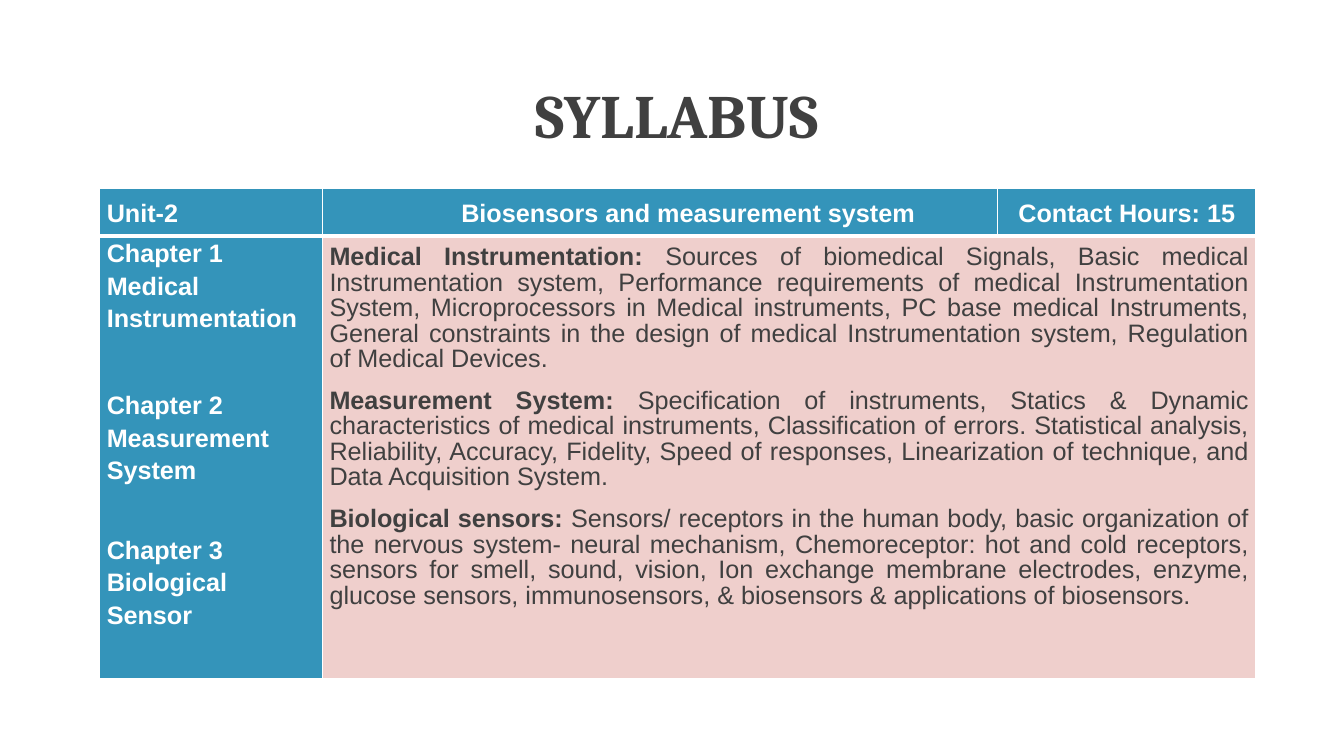
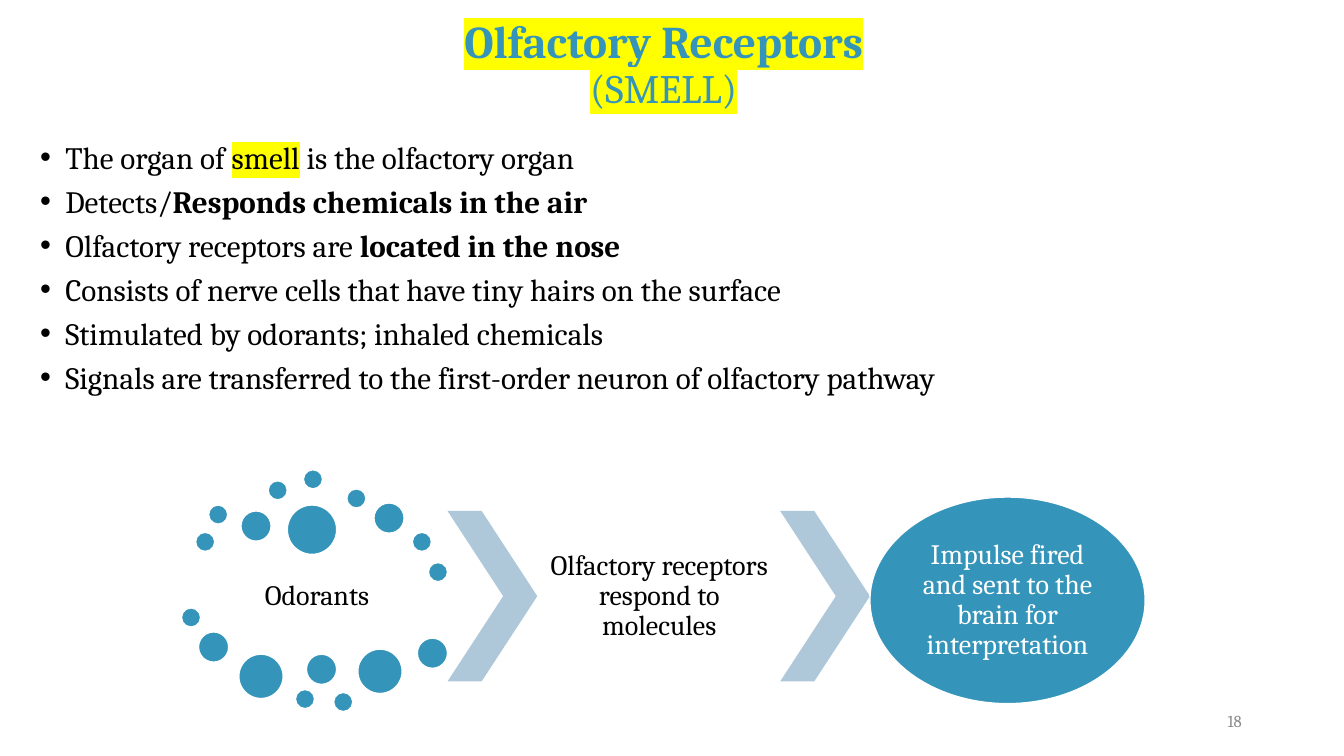
"""Build a syllabus slide and a slide on olfactory receptors."""
from dataclasses import dataclass
from typing import NamedTuple, Optional, Sequence

from lxml.etree import SubElement
from pptx import Presentation
from pptx.dml.color import RGBColor
from pptx.enum.shapes import MSO_SHAPE as Preset
from pptx.enum.text import MSO_ANCHOR as Anchor, MSO_AUTO_SIZE as AutoSize, PP_ALIGN as Align
from pptx.oxml.ns import qn
from pptx.util import Pt


@dataclass(frozen=True)
class Theme:
    teal: str = "3494BA"
    rose: str = "EFCFCC"
    pale: str = "AEC8D9"
    white: str = "FFFFFF"
    black: str = "000000"
    charcoal: str = "404040"
    grey: str = "8C8C8C"
    marker: str = "FFFF00"
    serif: str = "Cambria"
    sans: str = "Arial"
    title: float = 44
    topic: float = 32.4
    subtopic: float = 28.8
    bullet: float = 22.2
    diagram: float = 20
    table: float = 18
    number: float = 12


THEME = Theme()


class Box(NamedTuple):
    left: float
    top: float
    width: float
    height: float

    def points(self) -> tuple:
        return tuple(Pt(value) for value in self)


@dataclass(frozen=True)
class Span:
    text: str
    bold: bool = False
    marked: bool = False
    size: Optional[float] = None


@dataclass(frozen=True)
class Para:
    spans: tuple
    after: float = 0


@dataclass(frozen=True)
class Style:
    size: float
    color: str = THEME.black
    font: str = THEME.serif
    align: Align = Align.CENTER
    spacing: float = 0.9
    before: float = 0
    bullet: bool = False


class Dot(NamedTuple):
    left: float
    top: float
    size: float


SMALL, MEDIUM, LARGE, HUGE = 13.7, 21.6, 31.7, 35.3
DOTS = (
    Dot(139.7, 380.2, SMALL), Dot(149, 360.7, SMALL), Dot(172.1, 365, MEDIUM),
    Dot(191.5, 343.4, SMALL), Dot(216.7, 335.5, SMALL), Dot(247.7, 349.2, SMALL),
    Dot(267.1, 359.3, MEDIUM), Dot(294.5, 380.2, SMALL), Dot(306, 401.8, SMALL),
    Dot(205.2, 360.7, HUGE), Dot(129.6, 434.2, SMALL), Dot(141.8, 451.4, MEDIUM),
    Dot(170.6, 467.3, LARGE), Dot(211, 492.5, SMALL), Dot(218.9, 467.3, MEDIUM),
    Dot(238.3, 494.6, SMALL), Dot(255.6, 463.7, LARGE), Dot(298.1, 455.8, MEDIUM),
)

UNIT_HEADINGS = ("Unit-2", "Biosensors and measurement system", "Contact Hours: 15")
CHAPTERS = (
    Para((Span("Chapter 1", True),)),
    Para((Span("Medical Instrumentation", True),), 39),
    Para((Span("Chapter 2", True),)),
    Para((Span("Measurement System", True),), 34),
    Para((Span("Chapter 3", True),)),
    Para((Span("Biological Sensor", True),)),
)
TOPICS = (
    Para((Span("Medical Instrumentation: ", True), Span(
        "Sources of biomedical Signals, Basic medical Instrumentation system, Performance "
        "requirements of medical Instrumentation System, Microprocessors in Medical instruments, "
        "PC base medical Instruments, General constraints in the design of medical "
        "Instrumentation system, Regulation of Medical Devices.")), 12),
    Para((Span("Measurement System: ", True), Span(
        "Specification of instruments, Statics & Dynamic characteristics of medical instruments, "
        "Classification of errors. Statistical analysis, Reliability, Accuracy, Fidelity, Speed "
        "of responses, Linearization of technique, and Data Acquisition System.")), 12),
    Para((Span("Biological sensors: ", True), Span(
        "Sensors/ receptors in the human body, basic organization of the nervous system- neural "
        "mechanism, Chemoreceptor: hot and cold receptors, sensors for smell, sound, vision, Ion "
        "exchange membrane electrodes, enzyme, glucose sensors, immunosensors, & biosensors & "
        "applications of biosensors."))),
)
SMELL_FACTS = (
    Para((Span("The organ of "), Span("smell", marked=True), Span(" is the olfactory organ"))),
    Para((Span("Detects/"), Span("Responds chemicals in the air", True))),
    Para((Span("Olfactory receptors are "), Span("located in the nose", True))),
    Para((Span("Consists of nerve cells that have tiny hairs on the surface"),)),
    Para((Span("Stimulated by odorants; inhaled chemicals"),)),
    Para((Span("Signals are transferred to the first-order neuron of olfactory pathway"),)),
)


def rgb(color: str) -> RGBColor:
    """Turn a hex string into a colour."""
    return RGBColor.from_string(color)


def add_span(paragraph, span: Span, style: Style) -> None:
    """Append one formatted run."""
    run = paragraph.add_run()
    run.text = span.text
    run.font.size = Pt(span.size or style.size)
    run.font.bold = span.bold
    run.font.color.rgb = rgb(style.color)
    run.font.name = style.font
    if span.marked:
        properties = run.font._element
        highlight = SubElement(properties, qn("a:highlight"))
        SubElement(highlight, qn("a:srgbClr"), val=THEME.marker)
        properties.find(qn("a:latin")).addprevious(highlight)


def add_bullet(paragraph) -> None:
    """Give a paragraph a hanging round bullet."""
    properties = paragraph._p.get_or_add_pPr()
    properties.set("marL", str(Pt(18)))
    properties.set("indent", str(-Pt(18)))
    SubElement(properties, qn("a:buFont"), typeface=THEME.sans)
    SubElement(properties, qn("a:buChar"), char="•")


def write(frame, paras: Sequence[Para], style: Style) -> None:
    """Fill a text frame with paragraphs."""
    frame.word_wrap = True
    for index, para in enumerate(paras):
        paragraph = frame.add_paragraph() if index else frame.paragraphs[0]
        if style.bullet:
            add_bullet(paragraph)
        paragraph.alignment = style.align
        paragraph.line_spacing = style.spacing
        paragraph.space_before = Pt(style.before if index else 0)
        paragraph.space_after = Pt(para.after)
        for span in para.spans:
            add_span(paragraph, span, style)


def set_margins(target, left: float, top: float, right: float, bottom: float) -> None:
    """Set the insets of a cell or a text frame."""
    target.margin_left, target.margin_top = Pt(left), Pt(top)
    target.margin_right, target.margin_bottom = Pt(right), Pt(bottom)


def add_titled_page(deck, box: Box, paras: Sequence[Para], style: Style):
    """Add a title-only slide with its title in place."""
    page = deck.slides.add_slide(deck.slide_layouts[5])
    title = page.shapes.title
    title.left, title.top, title.width, title.height = box.points()
    title.text_frame.auto_size = AutoSize.NONE
    title.text_frame.vertical_anchor = Anchor.MIDDLE
    write(title.text_frame, paras, style)
    return page


def add_text(page, box: Box, paras: Sequence[Para], style: Style,
             anchor: Anchor = Anchor.MIDDLE, inset: Optional[float] = None) -> None:
    """Add a text box."""
    frame = page.shapes.add_textbox(*box.points()).text_frame
    frame.vertical_anchor = anchor
    if inset is not None:
        set_margins(frame, inset, inset, inset, inset)
    write(frame, paras, style)


def add_figure(page, preset: Preset, box: Box, color: str, outlined: bool = True):
    """Add a flat preset shape."""
    figure = page.shapes.add_shape(preset, *box.points())
    figure.shadow.inherit = False
    figure.fill.solid()
    figure.fill.fore_color.rgb = rgb(color)
    if outlined:
        figure.line.color.rgb = rgb(THEME.white)
        figure.line.width = Pt(1)
    else:
        figure.line.fill.background()
    return figure


def paint_cell(cell, color: str, top: float, bottom: float) -> None:
    """Fill a cell and draw its white borders."""
    cell.fill.solid()
    cell.fill.fore_color.rgb = rgb(color)
    properties = cell._tc.get_or_add_tcPr()
    borders = (("a:lnL", 1), ("a:lnR", 1), ("a:lnT", top), ("a:lnB", bottom))
    for index, (tag, width) in enumerate(borders):
        line = SubElement(properties, qn(tag), w=str(Pt(width)))
        fill = SubElement(line, qn("a:solidFill"))
        SubElement(fill, qn("a:srgbClr"), val=THEME.white)
        properties.insert(index, line)


def add_syllabus_table(page) -> None:
    """Add the unit table with its merged topics cell."""
    widths, heights = (159.1, 482.4, 184.3), (33.8, 316.1)
    box = Box(71.3, 134.6, sum(widths), sum(heights))
    table = page.shapes.add_table(2, 3, *box.points()).table
    for column, width in zip(table.columns, widths):
        column.width = Pt(width)
    for row, height in zip(table.rows, heights):
        row.height = Pt(height)
    for index, heading in enumerate(UNIT_HEADINGS):
        cell = table.cell(0, index)
        paint_cell(cell, THEME.teal, 1, 3)
        set_margins(cell, 45 if index == 1 else 5, 0, 5, 0)
        cell.vertical_anchor = Anchor.MIDDLE
        align = Align.CENTER if index else Align.LEFT
        write(cell.text_frame, (Para((Span(heading, True),)),),
              Style(THEME.table, THEME.white, THEME.sans, align, 1.15))
    table.cell(1, 1).merge(table.cell(1, 2))
    columns = ((CHAPTERS, THEME.teal, THEME.white, 1.15, 0),
               (TOPICS, THEME.rose, THEME.charcoal, 0.9, 7))
    for index, (paras, fill, color, spacing, top) in enumerate(columns):
        cell = table.cell(1, index)
        paint_cell(cell, fill, 3, 1)
        set_margins(cell, 5, top, 5, 0)
        write(cell.text_frame, paras,
              Style(THEME.table, color, THEME.sans, Align.JUSTIFY, spacing))


def add_smell_diagram(page) -> None:
    """Draw the path from odorants to the brain."""
    label = Style(THEME.diagram)
    add_text(page, Box(139.7, 397.4, 173.5, 56.9), (Para((Span("Odorants"),)),), label, inset=2)
    for dot in DOTS:
        add_figure(page, Preset.OVAL, Box(dot.left, dot.top, dot.size, dot.size), THEME.teal)
    for left in (319.7, 557.3):
        chevron = add_figure(page, Preset.CHEVRON, Box(left, 365, 64.1, 121.7),
                             THEME.pale, outlined=False)
        chevron.adjustments[0] = 0.62
    add_text(page, Box(383.8, 365, 174.2, 121.7),
             (Para((Span("Olfactory receptors respond to molecules"),)),), label, inset=2)
    impulse = add_figure(page, Preset.OVAL, Box(621.4, 355, 196.6, 147.6), THEME.teal)
    set_margins(impulse.text_frame, 0, 0, 0, 0)
    impulse.text_frame.vertical_anchor = Anchor.MIDDLE
    write(impulse.text_frame,
          (Para((Span("Impulse fired and sent to the brain for interpretation"),)),),
          Style(THEME.diagram, THEME.white))


def add_syllabus_page(deck) -> None:
    """Add the syllabus slide."""
    page = add_titled_page(deck, Box(89.3, 46.8, 789.1, 75.6),
                           (Para((Span("SYLLABUS", True),)),),
                           Style(THEME.title, THEME.charcoal))
    add_syllabus_table(page)


def add_smell_page(deck) -> None:
    """Add the olfactory receptors slide."""
    heading = (Para((Span("Olfactory Receptors", True, True),)),
               Para((Span("(SMELL)", marked=True, size=THEME.subtopic),)))
    page = add_titled_page(deck, Box(190, 12.2, 568, 69.8), heading,
                           Style(THEME.topic, THEME.teal))
    add_text(page, Box(21.6, 100.8, 917.3, 185.8), SMELL_FACTS,
             Style(THEME.bullet, align=Align.JUSTIFY, spacing=0.8, before=10, bullet=True),
             Anchor.TOP)
    add_smell_diagram(page)
    add_text(page, Box(678.2, 500.4, 216, 28.8), (Para((Span("18"),)),),
             Style(THEME.number, THEME.grey, align=Align.RIGHT, spacing=1.0))


def main() -> None:
    """Build and save the deck."""
    deck = Presentation()
    deck.slide_width, deck.slide_height = Pt(960), Pt(540)
    add_syllabus_page(deck)
    add_smell_page(deck)
    deck.save("out.pptx")


if __name__ == "__main__":
    main()
